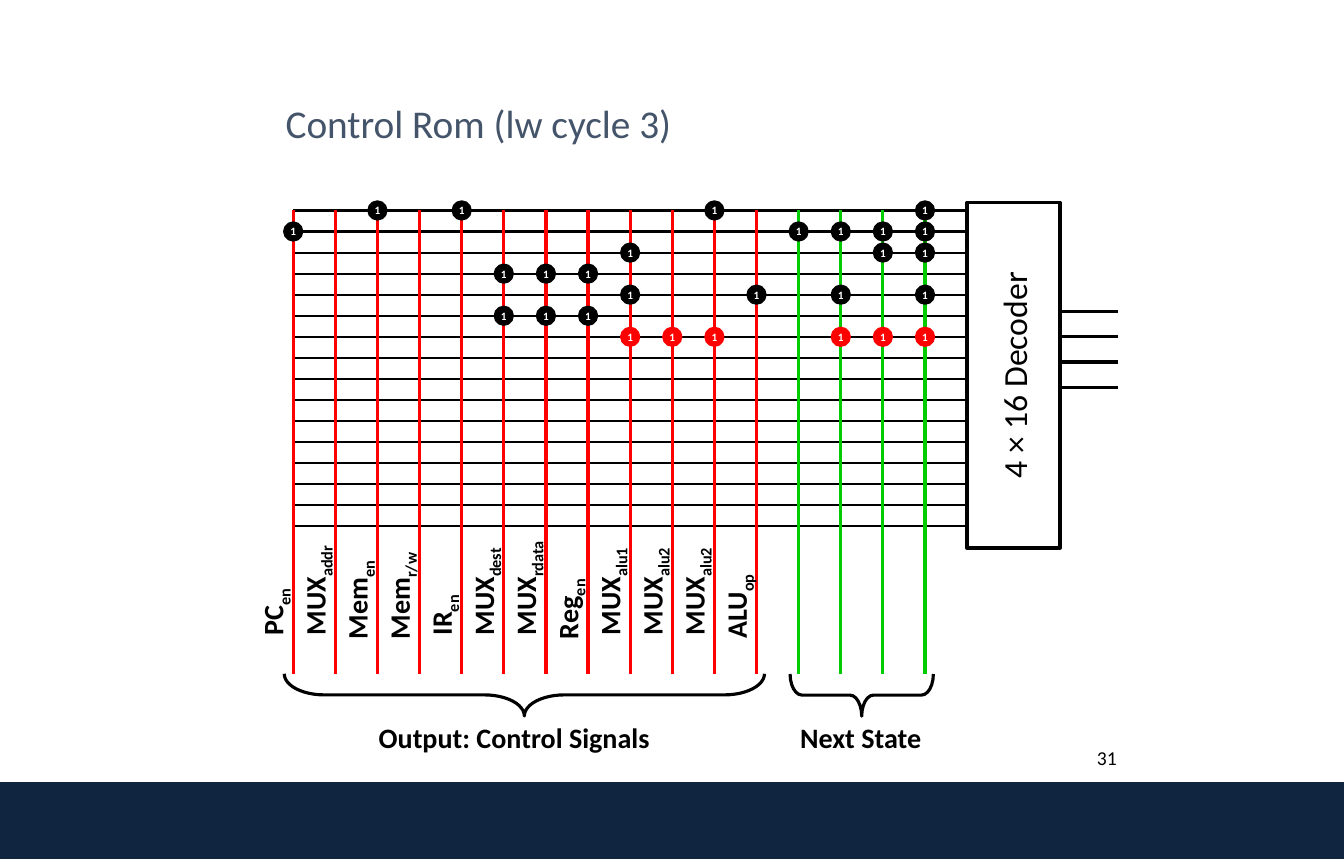
from pptx import Presentation
from pptx.dml.color import RGBColor
from pptx.enum.shapes import MSO_CONNECTOR, MSO_SHAPE
from pptx.enum.text import MSO_ANCHOR, PP_ALIGN
from pptx.oxml.ns import qn
from pptx.util import Cm, Pt
from lxml import etree

RECTANGLE, OVAL, BRACE = MSO_SHAPE.RECTANGLE, MSO_SHAPE.OVAL, MSO_SHAPE.LEFT_BRACE
STRAIGHT = MSO_CONNECTOR.STRAIGHT
TOP, MIDDLE, BOTTOM = MSO_ANCHOR.TOP, MSO_ANCHOR.MIDDLE, MSO_ANCHOR.BOTTOM
LEFT, CENTER, RIGHT = PP_ALIGN.LEFT, PP_ALIGN.CENTER, PP_ALIGN.RIGHT

FONT = "Calibri"
BLACK, WHITE, RED, GREEN = "000000", "FFFFFF", "FF0000", "00CC00"
NAVY, SLATE = "10253F", "44546A"
THIN, THICK = 1.5, 2.25

# Lengths in centimetres
SLIDE_WIDTH, SLIDE_HEIGHT = 33.78, 21.59
GRID_LEFT, GRID_TOP = 7.37, 5.29
COLUMN_STEP, ROW_STEP = 15.88 / 15, 7.94 / 15
COLUMN_COUNT = ROW_COUNT = 16
COLUMN_BOTTOM = 16.94
DECODER_LEFT, DECODER_RIGHT = 24.31, 26.63
LABEL_HEIGHT, LABEL_OFFSET = 1.11, 0.52
DOT_SIZE = 0.43

# Signal name, subscript, box length, box bottom; one for each red column
SIGNALS = [
    ("PC", "en", 1.75, 16.22), ("MUX", "addr", 2.97, 16.22),
    ("Mem", "en", 2.57, 16.32), ("Mem", "r/w", 2.79, 16.32),
    ("IR", "en", 1.57, 16.22), ("MUX", "dest", 2.82, 16.22),
    ("MUX", "rdata", 3.1, 16.22), ("Reg", "en", 2.16, 16.31),
    ("MUX", "alu1", 2.87, 16.22), ("MUX", "alu2", 2.87, 16.22),
    ("MUX", "alu2", 2.87, 16.22), ("ALU", "op", 2.49, 16.3),
]
# Columns that hold a 1, row by row
ROM_ROWS = [
    (2, 4, 10, 15),
    (0, 12, 13, 14, 15),
    (8, 14, 15),
    (5, 6, 7),
    (8, 11, 13, 15),
    (5, 6, 7),
    (8, 9, 10, 13, 14, 15),
]
CURRENT_ROW = 6


def color(hex_string):
    return RGBColor.from_string(hex_string)


def column_x(column):
    return GRID_LEFT + column * COLUMN_STEP


def row_y(row):
    return GRID_TOP + row * ROW_STEP


class SlideBuilder:
    def __init__(self, slide):
        self.shapes = slide.shapes

    def set_text(self, shape, text, size, text_color=BLACK, bold=False, align=LEFT,
                 anchor=TOP, wrap=False, subscript=""):
        frame = shape.text_frame
        frame.text = text
        frame.word_wrap = wrap
        frame.vertical_anchor = anchor
        paragraph = frame.paragraphs[0]
        paragraph.alignment = align
        if subscript:
            run = paragraph.add_run()
            run.text = subscript
            run._r.get_or_add_rPr().set("baseline", "-25000")
        for run in paragraph.runs:
            run.font.name = FONT
            run.font.size = Pt(size)
            run.font.bold = bold
            run.font.color.rgb = color(text_color)
        return paragraph

    def text(self, left, top, width, height, text, size, rotation=0, **style):
        box = self.shapes.add_textbox(Cm(left), Cm(top), Cm(width), Cm(height))
        box.rotation = rotation
        return self.set_text(box, text, size, **style)

    def shape(self, kind, left, top, width, height, fill=None, line=None, rotation=0):
        shape = self.shapes.add_shape(kind, Cm(left), Cm(top), Cm(width), Cm(height))
        shape.shadow.inherit = False
        shape.rotation = rotation
        if fill:
            shape.fill.solid()
            shape.fill.fore_color.rgb = color(fill)
        else:
            shape.fill.background()
        if line:
            shape.line.color.rgb = color(line)
            shape.line.width = Pt(THICK)
        else:
            shape.line.fill.background()
        return shape

    def line(self, x1, y1, x2, y2, line_color, width):
        connector = self.shapes.add_connector(STRAIGHT, Cm(x1), Cm(y1), Cm(x2), Cm(y2))
        connector.line.color.rgb = color(line_color)
        connector.line.width = Pt(width)
        etree.SubElement(connector._element.spPr, qn("a:effectLst"))

    def brace(self, left, top, width, height, curve):
        brace = self.shape(BRACE, left, top, width, height, line=BLACK, rotation=270)
        brace.adjustments[0] = curve

    def signal_label(self, column, name, subscript, length, bottom):
        center_x = column_x(column) - LABEL_OFFSET
        center_y = bottom - length / 2
        self.text(center_x - length / 2, center_y - LABEL_HEIGHT / 2, length, LABEL_HEIGHT,
                  name, 20, rotation=270, bold=True, subscript=subscript)

    def dot(self, column, row, fill):
        dot = self.shape(OVAL, column_x(column) - DOT_SIZE / 2, row_y(row) - DOT_SIZE / 2,
                         DOT_SIZE, DOT_SIZE, fill=fill, line=fill)
        self.set_text(dot, "1", 8, WHITE, bold=True, align=CENTER, anchor=MIDDLE)


def main():
    presentation = Presentation()
    presentation.slide_width = Cm(SLIDE_WIDTH)
    presentation.slide_height = Cm(SLIDE_HEIGHT)
    builder = SlideBuilder(presentation.slides.add_slide(presentation.slide_layouts[6]))

    builder.shape(RECTANGLE, 0, 19.66, SLIDE_WIDTH, 1.93, fill=NAVY)
    builder.text(22.4, 18.62, 5.92, 1.32, "31", 14, align=RIGHT, wrap=True)
    title = builder.text(6.93, 0.64, 21.16, 3.18, "Control Rom (lw cycle 3)", 28,
                         text_color=SLATE, anchor=BOTTOM, wrap=True)
    title.line_spacing = 0.9

    decoder = builder.shape(RECTANGLE, 21.13, 8.26, 8.69, 2.34, line=BLACK, rotation=270)
    builder.set_text(decoder, "4 × 16 Decoder", 24, align=CENTER, anchor=MIDDLE, wrap=True)
    for wire in range(4):
        y = 7.83 + wire * 0.635
        builder.line(DECODER_RIGHT, y, 28.11, y, BLACK, THICK)

    for row in range(ROW_COUNT):
        builder.line(DECODER_LEFT, row_y(row), GRID_LEFT, row_y(row), BLACK, THIN)
    for column in range(COLUMN_COUNT):
        line_color = RED if column < len(SIGNALS) else GREEN
        x = column_x(column)
        builder.line(x, GRID_TOP, x, COLUMN_BOTTOM, line_color, THICK)

    for column, signal in enumerate(SIGNALS):
        builder.signal_label(column, *signal)

    builder.brace(12.65, 11.43, 1.06, 12.07, 0.95)
    builder.text(9.27, 17.98, 7.37, 1.11, "Output: Control Signals", 20, bold=True)
    builder.brace(21.13, 15.67, 1.06, 3.6, 0.28)
    builder.text(19.86, 17.98, 3.63, 1.11, "Next State", 20, bold=True)

    for row, columns in enumerate(ROM_ROWS):
        for column in columns:
            builder.dot(column, row, RED if row == CURRENT_ROW else BLACK)

    presentation.save("out.pptx")


if __name__ == "__main__":
    main()
